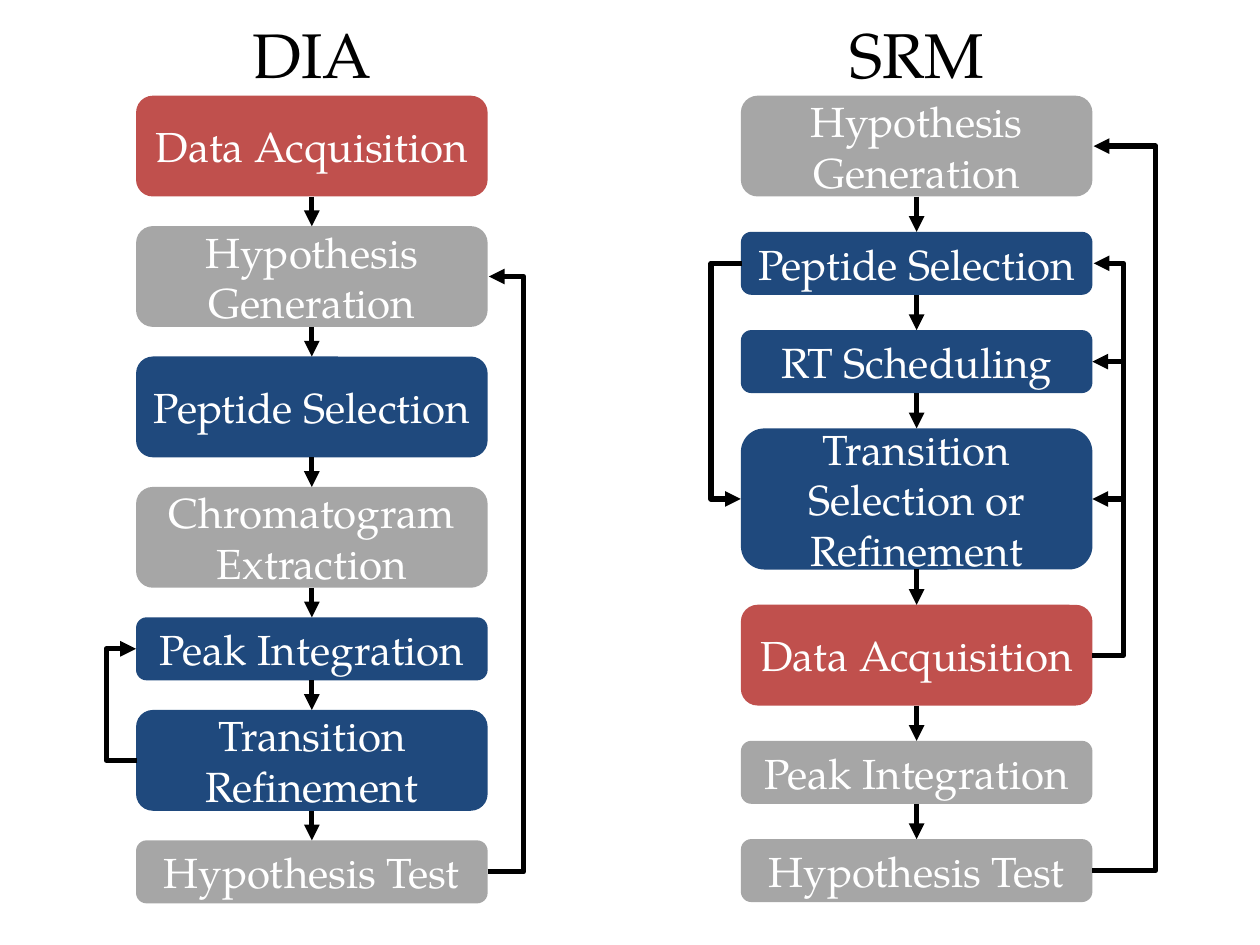
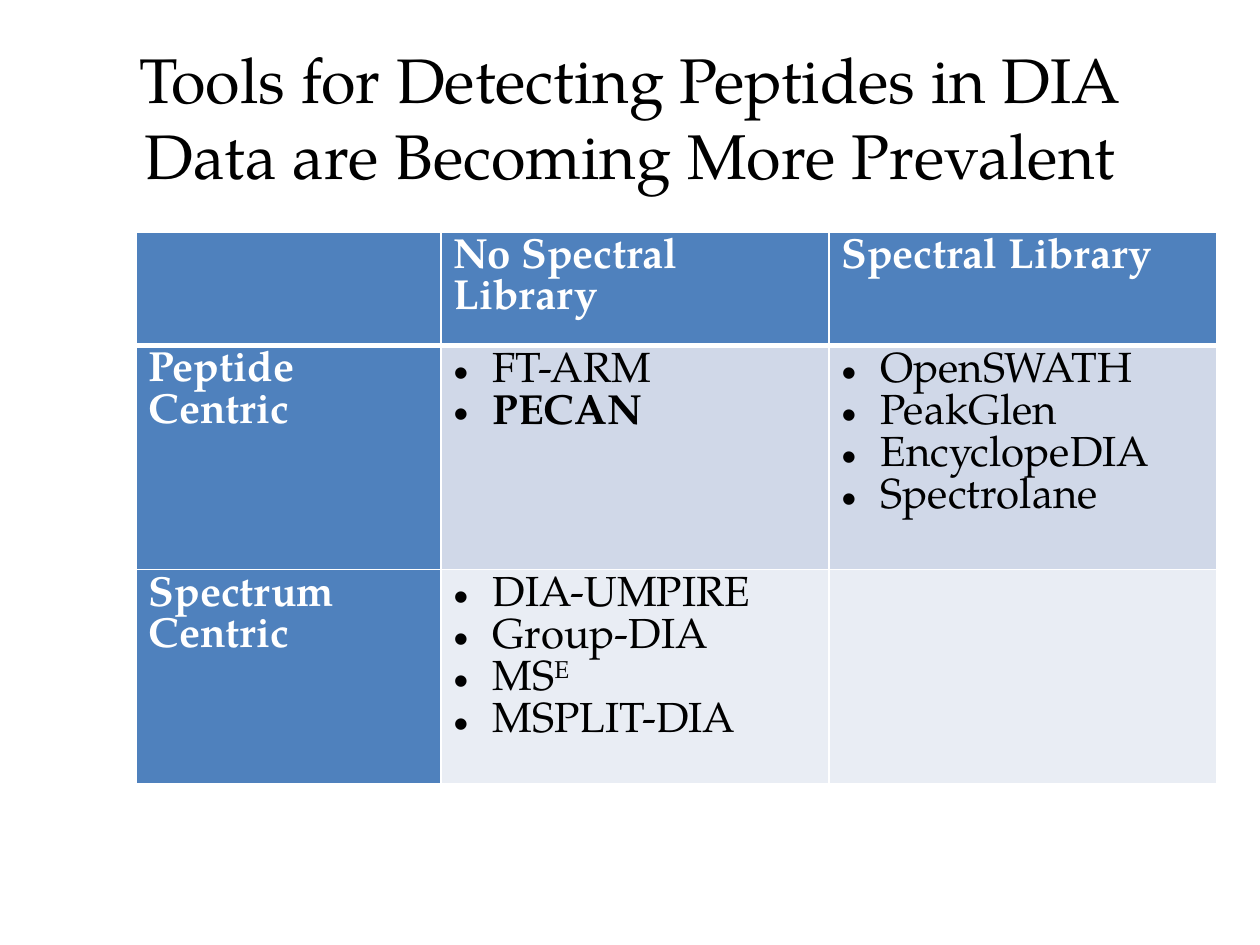
from dataclasses import dataclass

from lxml import etree
from pptx import Presentation
from pptx import util as u
from pptx.dml.color import RGBColor
from pptx.enum import shapes, text
from pptx.oxml import ns


@dataclass(frozen=True)
class Theme:
    font: str = "TeX Gyre Pagella"
    title_size: int = 36
    body_size: int = 24
    flow_line: int = 3
    grid_line: int = 1
    header_line: int = 3
    ink: str = "000000"
    white: str = "FFFFFF"
    acquire: str = "C0504D"
    refine: str = "1F497D"
    routine: str = "A6A6A6"
    heading: str = "4F81BD"
    bands: tuple = ("D0D8E8", "E9EDF4")


@dataclass(frozen=True)
class Box:
    left: float
    top: float
    width: float
    height: float

    def emu(self):
        return [u.Inches(v) for v in (self.left, self.top, self.width, self.height)]


THEME = Theme()
SLIDE = Box(0, 0, 10, 7.5)
TOP, LEFT, BOTTOM, RIGHT = range(4)
TALL, SHORT, TRIPLE = 0.8, 0.5, 1.12
ELBOW_STEP = 0.01

DIA_STEPS = [
    ("Data Acquisition", TALL, THEME.acquire),
    ("Hypothesis Generation", TALL, THEME.routine),
    ("Peptide Selection", TALL, THEME.refine),
    ("Chromatogram Extraction", TALL, THEME.routine),
    ("Peak Integration", SHORT, THEME.refine),
    ("Transition Refinement", TALL, THEME.refine),
    ("Hypothesis Test", SHORT, THEME.routine),
]
SRM_STEPS = [
    ("Hypothesis Generation", TALL, THEME.routine),
    ("Peptide Selection", SHORT, THEME.refine),
    ("RT Scheduling", SHORT, THEME.refine),
    ("Transition Selection or Refinement", TRIPLE, THEME.refine),
    ("Data Acquisition", TALL, THEME.acquire),
    ("Peak Integration", SHORT, THEME.routine),
    ("Hypothesis Test", SHORT, THEME.routine),
]
TOOL_HEADINGS = ["", "No Spectral Library", "Spectral Library"]
TOOL_ROWS = [
    ("Peptide Centric", ["FT-ARM", "PECAN"],
     ["OpenSWATH", "PeakGlen", "EncyclopeDIA", "Spectrolane"]),
    ("Spectrum Centric", ["DIA-UMPIRE", "Group-DIA", "MS^E", "MSPLIT-DIA"], []),
]
HIGHLIGHTED_TOOL = "PECAN"


def rgb(value):
    return RGBColor.from_string(value)


def add_xml(parent, tag, **attributes):
    return etree.SubElement(parent, ns.qn(tag), attributes)


def style_runs(paragraph, size, color, bold=False):
    for run in paragraph.runs:
        run.font.name = THEME.font
        run.font.size = u.Pt(size)
        run.font.bold = bold
        run.font.color.rgb = rgb(color)


def add_title(slide, box, wording):
    title = slide.shapes.add_textbox(*box.emu()).text_frame
    title.word_wrap = True
    title.vertical_anchor = text.MSO_ANCHOR.MIDDLE
    title.text = wording
    title.paragraphs[0].alignment = text.PP_ALIGN.CENTER
    style_runs(title.paragraphs[0], THEME.title_size, THEME.ink)


def add_step(slide, box, wording, color):
    step = slide.shapes.add_shape(shapes.MSO_SHAPE.ROUNDED_RECTANGLE, *box.emu())
    step.shadow.inherit = False
    step.fill.solid()
    step.fill.fore_color.rgb = rgb(color)
    step.line.fill.background()
    frame = step.text_frame
    frame.word_wrap = True
    frame.margin_left = frame.margin_right = u.Inches(0.05)
    frame.margin_top = frame.margin_bottom = 0
    frame.vertical_anchor = text.MSO_ANCHOR.MIDDLE
    frame.text = wording
    frame.paragraphs[0].alignment = text.PP_ALIGN.CENTER
    style_runs(frame.paragraphs[0], THEME.body_size, THEME.white)
    return step


def add_arrow(slide, start, end, kind=shapes.MSO_CONNECTOR.STRAIGHT):
    arrow = slide.shapes.add_connector(kind, *start, *end)
    arrow.line.color.rgb = rgb(THEME.ink)
    arrow.line.width = u.Pt(THEME.flow_line)
    add_xml(arrow.line._get_or_add_ln(), "a:tailEnd", type="triangle")
    add_xml(arrow._element.spPr, "a:effectLst")
    return arrow


def middle_of_side(step, side):
    x = step.left + (step.width if side == RIGHT else 0)
    return x, step.top + step.height // 2


def add_loop(slide, source, target, side, reach):
    """Elbow arrow that runs `reach` inches outside the column."""
    outward = 1 if side == RIGHT else -1
    x, start_y = middle_of_side(source, side)
    _, end_y = middle_of_side(target, side)
    step = u.Inches(ELBOW_STEP) * outward
    start_x, end_x = (x, x + step) if side == RIGHT else (x - step, x)
    loop = add_arrow(slide, (start_x, start_y), (end_x, end_y),
                     shapes.MSO_CONNECTOR.ELBOW)
    guides = loop._element.spPr.find(ns.qn("a:prstGeom")).get_or_add_avLst()
    add_xml(guides, "a:gd", name="adj1",
            fmla=f"val {round(reach / ELBOW_STEP * 100000)}")


def add_branch(slide, target, reach):
    """Straight arrow from the right-hand loop into a step."""
    x, y = middle_of_side(target, RIGHT)
    add_arrow(slide, (x + u.Inches(reach), y), (x, y)).end_connect(target, RIGHT)


def add_workflow(slide, box, heading, steps):
    """Stack the steps with equal gaps, and return them in order."""
    heading_height = 0.71
    add_title(slide, Box(box.left, box.top - heading_height + 0.02, box.width,
                         heading_height), heading)
    gap = (box.height - sum(height for _, height, _ in steps)) / (len(steps) - 1)
    top, placed = box.top, []
    for wording, height, color in steps:
        placed.append(add_step(slide, Box(box.left, top, box.width, height),
                               wording, color))
        top += height + gap
    for upper, lower in zip(placed, placed[1:]):
        arrow = add_arrow(slide, (0, 0), (0, 0))
        arrow.begin_connect(upper, BOTTOM)
        arrow.end_connect(lower, TOP)
    return placed


def build_workflows(slide):
    column = Box(1.08, 0.76, 2.79, 6.41)
    _, hypothesis, _, _, integration, refinement, test = add_workflow(
        slide, column, "DIA", DIA_STEPS)
    add_loop(slide, test, hypothesis, RIGHT, 0.29)
    add_loop(slide, refinement, integration, LEFT, 0.25)

    column = Box(5.88, column.top, column.width, 6.4)
    hypothesis, peptides, schedule, transitions, acquisition, _, test = add_workflow(
        slide, column, "SRM", SRM_STEPS)
    near, far = 0.25, 0.51
    add_loop(slide, peptides, transitions, LEFT, near)
    add_loop(slide, acquisition, peptides, RIGHT, near)
    for target in (schedule, transitions):
        add_branch(slide, target, near)
    add_loop(slide, test, hypothesis, RIGHT, far)


def style_cell(cell, color, top=THEME.grid_line, bottom=THEME.grid_line):
    properties = cell._tc.get_or_add_tcPr()
    widths = {"L": THEME.grid_line, "R": THEME.grid_line, "T": top, "B": bottom}
    for edge, width in widths.items():
        line = add_xml(properties, f"a:ln{edge}", w=str(u.Pt(width)))
        add_xml(add_xml(line, "a:solidFill"), "a:srgbClr", val=THEME.white)
    cell.fill.solid()
    cell.fill.fore_color.rgb = rgb(color)


def fill_heading(cell, wording):
    cell.text = wording
    style_runs(cell.text_frame.paragraphs[0], THEME.body_size, THEME.white, bold=True)


def fill_tools(cell, tools):
    """Bulleted list; the part of a name after ^ is raised."""
    cell.text = "\n".join(tool.partition("^")[0] for tool in tools)
    for paragraph, tool in zip(cell.text_frame.paragraphs, tools):
        properties = paragraph._p.get_or_add_pPr()
        indent = u.Inches(0.31)
        properties.set("marL", str(indent))
        properties.set("indent", str(-indent))
        add_xml(properties, "a:buFont", typeface="Arial")
        add_xml(properties, "a:buChar", char="•")
        raised = tool.partition("^")[2]
        if raised:
            run = paragraph.add_run()
            run.text = raised
            run._r.get_or_add_rPr().set("baseline", "30000")
        style_runs(paragraph, THEME.body_size, THEME.ink, tool == HIGHLIGHTED_TOOL)


def add_tool_table(slide, box, column_widths, row_heights):
    table = slide.shapes.add_table(len(row_heights), len(column_widths),
                                   *box.emu()).table
    for column, width in zip(table.columns, column_widths):
        column.width = u.Inches(width)
    for row, height in zip(table.rows, row_heights):
        row.height = u.Inches(height)
    for column, heading in enumerate(TOOL_HEADINGS):
        style_cell(table.cell(0, column), THEME.heading, bottom=THEME.header_line)
        fill_heading(table.cell(0, column), heading)
    for row, (approach, *tool_lists) in enumerate(TOOL_ROWS, start=1):
        top = THEME.header_line if row == 1 else THEME.grid_line
        style_cell(table.cell(row, 0), THEME.heading, top)
        fill_heading(table.cell(row, 0), approach)
        for column, tools in enumerate(tool_lists, start=1):
            style_cell(table.cell(row, column), THEME.bands[row - 1], top)
            fill_tools(table.cell(row, column), tools)


def build_tools(slide):
    add_title(slide, Box(SLIDE.width * 0.05, SLIDE.height * 0.04,
                         SLIDE.width * 0.9, 1.25),
              "Tools for Detecting Peptides in DIA Data are Becoming More Prevalent")
    columns, rows = (2.42, 3.08, 3.08), (0.74, 1.78, 1.44)
    add_tool_table(slide, Box(1.08, 1.84, sum(columns), sum(rows)), columns, rows)


def main():
    deck = Presentation()
    deck.slide_width, deck.slide_height = SLIDE.emu()[2:]
    blank = deck.slide_layouts[6]
    for build in (build_workflows, build_tools):
        build(deck.slides.add_slide(blank))
    deck.save("out.pptx")


if __name__ == "__main__":
    main()
